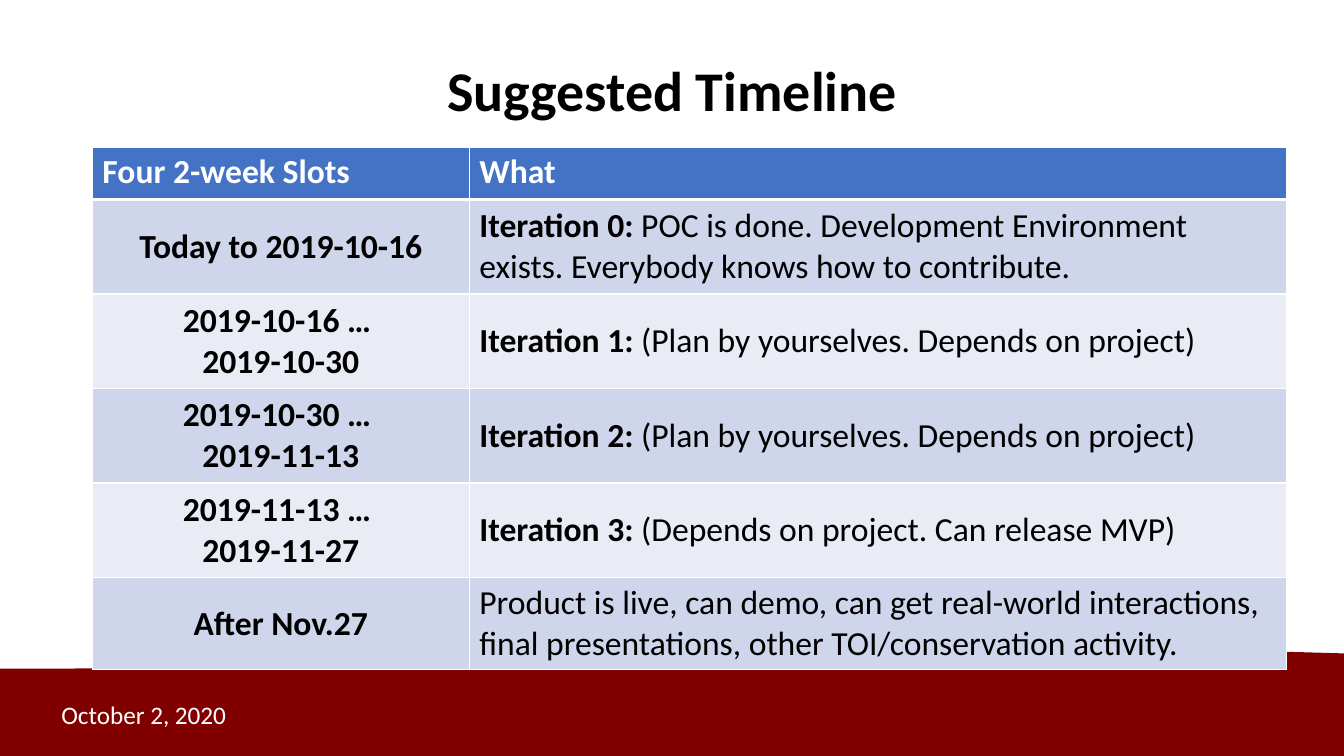
import pptx
import pptx.dml.color
import pptx.enum.shapes
import pptx.enum.text
import pptx.oxml.ns
import pptx.util
from lxml import etree

RGBColor = pptx.dml.color.RGBColor
PP_ALIGN = pptx.enum.text.PP_ALIGN
MIDDLE = pptx.enum.text.MSO_ANCHOR.MIDDLE
qn = pptx.oxml.ns.qn

MAROON = RGBColor(0x80, 0x00, 0x00)
BLUE = RGBColor(0x44, 0x72, 0xC4)
BANDS = (RGBColor(0xCF, 0xD5, 0xEA), RGBColor(0xE9, 0xEB, 0xF5))
WHITE = RGBColor(0xFF, 0xFF, 0xFF)
BLACK = RGBColor(0x00, 0x00, 0x00)
FONT = "Calibri"

PLAN = "(Plan by yourselves. Depends on project)"
HEADERS = ("Four 2-week Slots", "What")
# Slot, bold lead-in, description
SLOTS = (
    ("Today to 2019-10-16", "Iteration 0: ",
     "POC is done. Development Environment exists. Everybody knows how to contribute."),
    ("2019-10-16 … \n2019-10-30", "Iteration 1: ", PLAN),
    ("2019-10-30 … \n2019-11-13", "Iteration 2: ", PLAN),
    ("2019-11-13 … \n2019-11-27", "Iteration 3: ",
     "(Depends on project. Can release MVP)"),
    ("After Nov.27", "",
     "Product is live, can demo, can get real-world interactions, "
     "final presentations, other TOI/conservation activity."),
)
COL_WIDTHS = (359, 778)
ROW_HEIGHTS = (50, 90, 90, 90, 90, 88)


def px(n):
    return pptx.util.Emu(n * 9525)


def box_px(box):
    return [px(n) for n in box]


def add_run(p, text, size, color, bold=False):
    """Add text to the paragraph, turning newlines into line breaks."""
    for i, line in enumerate(text.split("\n")):
        if i:
            p.add_line_break()
        r = p.add_run()
        r.text = line
        r.font.name = FONT
        r.font.size = pptx.util.Pt(size)
        r.font.bold = bold
        r.font.color.rgb = color


def add_wave(s, box):
    kind = pptx.enum.shapes.MSO_SHAPE.FLOWCHART_DOCUMENT
    sp = s.shapes.add_shape(kind, *box_px(box))
    sp.rotation = 180
    sp.shadow.inherit = False
    sp.fill.solid()
    sp.fill.fore_color.rgb = MAROON
    sp.line.fill.background()


def add_title(s, box):
    sp = s.shapes.title
    sp.left, sp.top, sp.width, sp.height = box_px(box)
    tf = sp.text_frame
    tf.vertical_anchor = MIDDLE
    p = tf.paragraphs[0]
    p.alignment = PP_ALIGN.CENTER
    p.line_spacing = 0.9
    add_run(p, "Suggested Timeline", 40, BLACK, True)


def format_cell(cell, fill, bottom=1):
    """Fill the cell and give it white borders, the bottom one in points."""
    tcPr = cell._tc.get_or_add_tcPr()
    for side, width in (("L", 1), ("R", 1), ("T", 1), ("B", bottom)):
        ln = etree.SubElement(tcPr, qn("a:ln" + side), w=str(pptx.util.Pt(width)))
        solid = etree.SubElement(ln, qn("a:solidFill"))
        etree.SubElement(solid, qn("a:srgbClr"), val=str(WHITE))
    cell.fill.solid()
    cell.fill.fore_color.rgb = fill


def add_timeline(s, left, top):
    table = s.shapes.add_table(
        len(ROW_HEIGHTS), len(COL_WIDTHS),
        *box_px((left, top, sum(COL_WIDTHS), sum(ROW_HEIGHTS)))).table
    for col, width in zip(table.columns, COL_WIDTHS):
        col.width = px(width)
    for row, height in zip(table.rows, ROW_HEIGHTS):
        row.height = px(height)

    for c, header in enumerate(HEADERS):
        cell = table.cell(0, c)
        format_cell(cell, BLUE, 3)
        add_run(cell.text_frame.paragraphs[0], header, 24, WHITE, True)

    for i, (slot, lead, what) in enumerate(SLOTS):
        cells = [table.cell(i + 1, c) for c in range(2)]
        for cell in cells:
            format_cell(cell, BANDS[i % 2])
            cell.vertical_anchor = MIDDLE
        p = cells[0].text_frame.paragraphs[0]
        p.alignment = PP_ALIGN.CENTER
        add_run(p, slot, 24, BLACK, True)
        p = cells[1].text_frame.paragraphs[0]
        if lead:
            add_run(p, lead, 24, BLACK, True)
        add_run(p, what, 24, BLACK)


def add_date(s, box):
    tf = s.shapes.add_textbox(*box_px(box)).text_frame
    tf.word_wrap = True
    tf.vertical_anchor = MIDDLE
    add_run(tf.paragraphs[0], "October 2, 2020", 18, WHITE)


def main():
    prs = pptx.Presentation()
    prs.slide_width, prs.slide_height = px(1280), px(720)
    s = prs.slides.add_slide(prs.slide_layouts[5])
    add_wave(s, (0, 615, 1280, 110))
    add_title(s, (88, 38, 1104, 102))
    add_timeline(s, 88, 140)
    add_date(s, (49, 661, 288, 38))
    prs.save("out.pptx")


if __name__ == "__main__":
    main()
